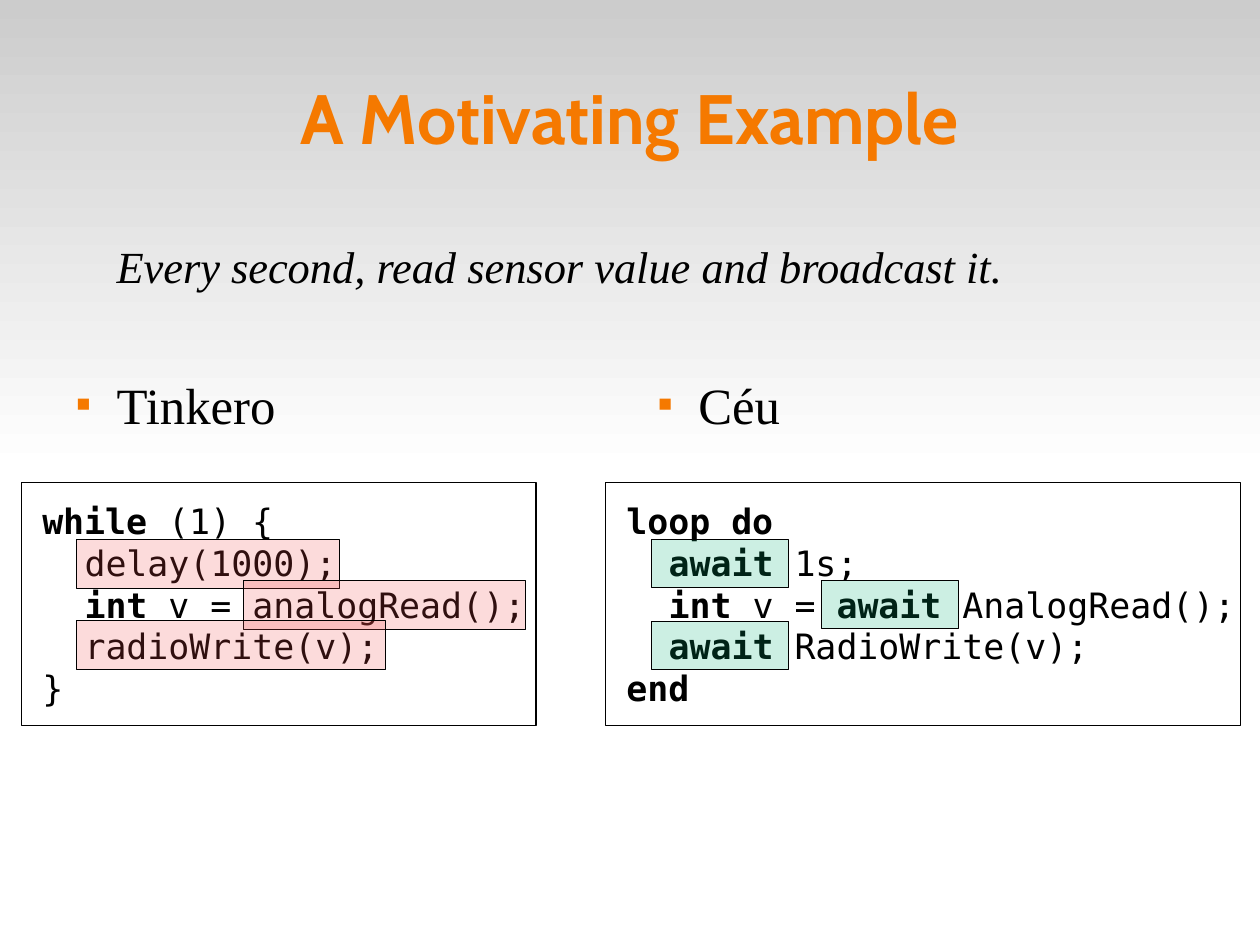
"""Build the slide that compares sensor code in two languages."""
from lxml import etree
from pptx import Presentation
from pptx.dml.color import RGBColor
from pptx.enum import shapes, text
from pptx.oxml import ns
from pptx.util import Inches, Pt

ORANGE = RGBColor(0xF5, 0x79, 0x00)
BLACK = RGBColor(0, 0, 0)
WHITE = RGBColor(0xFF, 0xFF, 0xFF)
GREY = RGBColor(0xCC, 0xCC, 0xCC)
GREEN = RGBColor(0x00, 0xB2, 0x74)
RED = RGBColor(0xF0, 0x4E, 0x4D)
CM_PER_INCH = 2.54

deck = Presentation()
deck.slide_width = Inches(28 / CM_PER_INCH)
deck.slide_height = Inches(21 / CM_PER_INCH)
slide = deck.slides.add_slide(deck.slide_layouts[5])


def add_box(left, top, width, height, color):
    box = slide.shapes.add_shape(
        shapes.MSO_SHAPE.RECTANGLE, Inches(left), Inches(top), Inches(width), Inches(height))
    box.shadow.inherit = False
    box.fill.solid()
    box.fill.fore_color.rgb = color
    box.line.color.rgb = BLACK
    box.line.width = Pt(0)
    return box


def set_frame(frame, anchor, left_inset=0):
    frame.word_wrap = True
    frame.auto_size = text.MSO_AUTO_SIZE.NONE
    frame.vertical_anchor = anchor
    frame.margin_left = Inches(left_inset)
    frame.margin_top = frame.margin_right = frame.margin_bottom = 0


backdrop = add_box(0, 0, 28 / CM_PER_INCH, 4.13, GREY)
backdrop.line.fill.background()
backdrop.fill.gradient()
backdrop.fill.gradient_angle = 270
for stop, color, position in zip(backdrop.fill.gradient_stops, (GREY, WHITE), (0, 1)):
    stop.color.rgb = color
    stop.position = position
slide.shapes._spTree.insert(2, backdrop._element)

title = slide.shapes.title
title.left, title.top, title.width, title.height = map(Inches, (0.55, 0.33, 9.92, 1.38))
set_frame(title.text_frame, text.MSO_ANCHOR.MIDDLE)
heading = title.text_frame.paragraphs[0]
heading.text = "A Motivating Example"
heading.alignment = text.PP_ALIGN.CENTER
heading.font.name, heading.font.size, heading.font.bold = "Cabin", Pt(44), True
heading.font.color.rgb = ORANGE

listings = (
    (5.3, 5.55, ((0, "*loop do*"), (0.37, "*await* 1s;"),
                 (0.37, "*int* v = *await* AnalogRead();"),
                 (0.37, "*await* RadioWrite(v);"), (0, "*end*"))),
    (0.19, 4.5, ((0, "*while* (1) {"), (0.37, "delay(1000);"),
                 (0.37, "*int* v = analogRead();"),
                 (0.37, "radioWrite(v);"), (0, "}"))),
)
for left, width, code in listings:
    frame = add_box(left, 4.22, width, 2.13, WHITE).text_frame
    set_frame(frame, text.MSO_ANCHOR.MIDDLE, 0.18)
    for number, (indent, source) in enumerate(code):
        line = frame.add_paragraph() if number else frame.paragraphs[0]
        line.alignment = text.PP_ALIGN.LEFT
        line.font.name, line.font.size = "DejaVu Sans Mono", Pt(22)
        line.font.color.rgb = BLACK
        line._p.get_or_add_pPr().set("marL", str(Inches(indent)))
        for part, words in enumerate(source.split("*")):
            if words:
                run = line.add_run()
                run.text = words
                run.font.bold = part % 2 == 1

for words, left, top, width, height, size, bulleted in (
    ("Tinkero", 0.55, 3.27, 4.84, 4.29, 32, True),
    ("Céu", 5.64, 3.27, 4.84, 4.19, 32, True),
    ("Every second, read sensor value and broadcast it.", 0.55, 2.09, 9.7, 0.61, 28, False),
):
    statement = slide.shapes.add_textbox(Inches(left), Inches(top), Inches(width), Inches(height))
    set_frame(statement.text_frame, text.MSO_ANCHOR.TOP)
    line = statement.text_frame.paragraphs[0]
    line.text = words
    line.space_after = Pt(14.2)
    line.font.name, line.font.size = "Times New Roman", Pt(size)
    line.font.italic = not bulleted
    line.font.color.rgb = BLACK
    props = line._p.get_or_add_pPr()
    props.set("marL", str(Inches(0.47)))
    if bulleted:
        props.set("indent", str(Inches(-0.35)))
        bullet_color = etree.Element(ns.qn("a:buClr"))
        etree.SubElement(bullet_color, ns.qn("a:srgbClr"), val=str(ORANGE))
        bullet_parts = (
            bullet_color,
            etree.Element(ns.qn("a:buSzPct"), val="45000"),
            etree.Element(ns.qn("a:buFont"), typeface="Times New Roman"),
            etree.Element(ns.qn("a:buChar"), char="■"),
        )
        for position, part in enumerate(bullet_parts, start=1):
            props.insert(position, part)

for color, height, marks in (
    (GREEN, 0.42, ((5.7, 4.72, 1.2), (7.19, 5.08, 1.2), (5.7, 5.44, 1.2))),
    (RED, 0.43, ((0.67, 4.72, 2.3), (2.13, 5.08, 2.47), (0.67, 5.43, 2.7))),
):
    for left, top, width in marks:
        highlight = add_box(left, top, width, height, color)
        shade = highlight._element.spPr.find(ns.qn("a:solidFill"))[0]
        etree.SubElement(shade, ns.qn("a:alpha"), val="20000")

deck.save("out.pptx")
